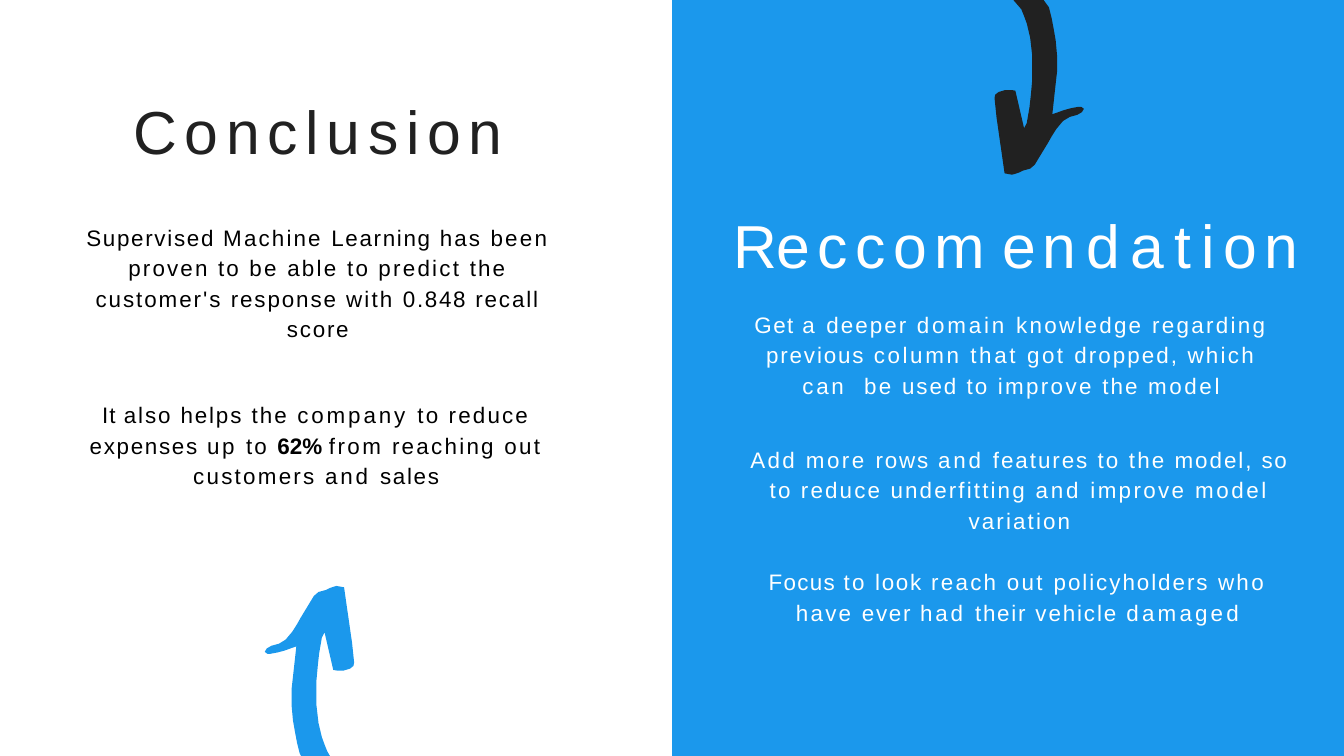
from lxml import etree
from pptx import Presentation
from pptx.dml.color import RGBColor
from pptx.enum.shapes import MSO_SHAPE
from pptx.enum.text import MSO_ANCHOR, MSO_AUTO_SIZE, PP_ALIGN
from pptx.oxml.ns import qn
from pptx.util import Inches, Pt

RECTANGLE = MSO_SHAPE.RECTANGLE
TOP = MSO_ANCHOR.TOP
NO_FIT = MSO_AUTO_SIZE.NONE
LEFT, CENTER = PP_ALIGN.LEFT, PP_ALIGN.CENTER

COLORS = {"blue": "1B98EC", "white": "FFFFFF", "ink": "212121", "black": "000000"}
FONT = "Arial"
HEADING = {"size": 65, "before": 1}
BODY = {"size": 24, "line_spacing": 1.13}

# Upward arrow without its tail edge, which sits on the slide border
ARROW = [
    (4.46, 11.21), (4.42, 11.05), (4.39, 10.89), (4.36, 10.72), (4.34, 10.5),
    (4.34, 10.25), (4.35, 10.16), (4.41, 9.62),
    # Left barb
    (4.35, 9.64), (4.24, 9.68), (4.13, 9.71), (4.02, 9.73), (3.98, 9.73),
    (3.94, 9.7), (3.97, 9.65), (4.04, 9.61), (4.15, 9.58), (4.25, 9.52), (4.35, 9.4),
    # Tip
    (4.42, 9.29), (4.47, 9.2), (4.61, 8.97), (4.67, 8.87), (4.74, 8.81),
    (4.85, 8.78), (4.91, 8.75), (4.97, 8.73), (5.01, 8.72), (5.12, 8.74),
    # Right barb
    (5.24, 9.57), (5.27, 9.86), (5.26, 9.91), (5.21, 9.95), (5.11, 9.98),
    (5.02, 9.98), (4.96, 9.97), (4.83, 9.41),
    # Inner side of the shaft
    (4.79, 9.49), (4.75, 9.72), (4.73, 9.9), (4.71, 10.12), (4.71, 10.5),
    (4.74, 10.76), (4.79, 10.97), (4.83, 11.08), (4.87, 11.18),
]
UP_TAIL = [(4.91, 11.25), (4.48, 11.25)]
DOWN_TAIL = [(4.99, 11.32), (4.54, 11.32)]

# Spans of text with their letter spacing in points
TITLE = [("Conclusion", 8.3)]
FINDING = [
    ("Supervised ", 1.8), ("Machine ", 2.3), ("Learning ", 1.8), ("has ", 2.2),
    ("been ", 2.4), ("proven to ", 2.3), ("be able ", 2.4), ("to ", 2.3),
    ("predict ", 2.4), ("the ", 2.2), ("customer's ", 2.1), ("response ", 2),
    ("with ", 2.3), ("0.848 ", 1.8), ("recall ", 2), ("score", 1.9),
]
SAVING = [
    ("It ", 1.1), ("also helps ", 2), ("the ", 2.2), ("company ", 3.1),
    ("to reduce ", 2.3), ("expenses ", 1.8), ("up ", 2.8), ("to ", 2.3),
    ("62% ", 0.1), ("from ", 2.6), ("reaching ", 2.4), ("out ", 2.5),
    ("customers ", 2.4), ("and ", 3), ("sales", 1.8),
]
ADVICE_TITLE = [
    ("R", -1.6), ("e", 6.8), ("cc", 8.4), ("o", 8.2), ("m", 18.2), ("e", 6.8),
    ("n", 11.2), ("da", 11.1), ("t", 10.8), ("i", 8.3), ("o", 8.2), ("n", 9.3),
]
KNOWLEDGE = [
    ("Get ", 1.5), ("a ", 2.9), ("deeper ", 2.2), ("domain ", 3),
    ("knowledge ", 2.4), ("regarding ", 2.5), ("previous ", 2),
    ("column that ", 2.8), ("got ", 2.6), ("dropped, ", 2.2), ("which ", 2.4),
    ("can  ", 2.8), ("be ", 2.4), ("used ", 2.1), ("to ", 2.3),
    ("improve ", 2.5), ("the ", 2.2), ("model", 2.8),
]
FEATURES = [
    ("Add ", 2.5), ("more ", 2.7), ("rows ", 1.9), ("and ", 3),
    ("features ", 2.1), ("to ", 2.3), ("the ", 2.2), ("model, ", 2.1),
    ("so ", 1.6), ("to reduce underfitting ", 2.3), ("and ", 3),
    ("improve ", 2.5), ("model ", 2.8), ("variation", 2.3),
]
FOCUS = [
    ("Focus ", 1.4), ("to ", 2.3), ("look ", 1.9), ("reach ", 2.4), ("out ", 2.5),
    ("policyholders ", 2.1), ("who ", 2.5), ("have ", 2.4), ("ever ", 1.8),
    ("had ", 3), ("their ", 1.9), ("vehicle ", 2), ("damaged", 3.4),
]


def half_turn(points):
    """Turn an upward arrow so that it hangs from the top edge."""
    return [(20.07 - x, 11.32 - y) for x, y in points]


def write_text(para, spans, *, size, color, bold_text=None, align=CENTER,
               before=0, line_spacing=1.0, margins=(0, 0)):
    """Format a paragraph and fill it with letter-spaced spans."""
    para.alignment = align
    para.space_before = Pt(before)
    para.line_spacing = line_spacing
    properties = para._p.get_or_add_pPr()
    properties.set("marL", str(Inches(margins[0])))
    properties.set("marR", str(Inches(margins[1])))
    properties.set("indent", "0")
    etree.SubElement(properties, qn("a:buNone"))
    for text, spacing in spans:
        span = para.add_run()
        span.text = text
        span.font.name = FONT
        span.font.size = Pt(size)
        span.font.bold = text == bold_text
        span.font.color.rgb = RGBColor.from_string(COLORS[color])
        span._r.get_or_add_rPr().set("spc", str(round(spacing * 100)))


class SlideBuilder:
    def __init__(self, page):
        self.page = page

    def paint(self, shape, color):
        shape.shadow.inherit = False
        shape.fill.solid()
        shape.fill.fore_color.rgb = RGBColor.from_string(COLORS[color])
        shape.line.fill.background()

    def panel(self, left, color):
        box = self.page.shapes.add_shape(
            RECTANGLE, Inches(left), 0, Inches(10), Inches(11.25))
        self.paint(box, color)
        # Panels lie behind the placeholders
        self.page.shapes._spTree.insert(2, box._element)

    def arrow(self, points, color):
        corners = [(Inches(x), Inches(y)) for x, y in points]
        builder = self.page.shapes.build_freeform(*corners[0], scale=1.0)
        builder.add_line_segments(corners[1:], close=True)
        self.paint(builder.convert_to_shape(), color)

    def text_box(self):
        return self.page.shapes.add_textbox(0, 0, Inches(1), Inches(1))

    def frame(self, box, left, top, width, height):
        """Place a text shape and return its frame without insets."""
        box.left, box.top = Inches(left), Inches(top)
        box.width, box.height = Inches(width), Inches(height)
        frame = box.text_frame
        frame.word_wrap = True
        frame.auto_size = NO_FIT
        frame.vertical_anchor = TOP
        frame.margin_left = frame.margin_right = frame.margin_bottom = 0
        frame.margin_top = Inches(0.01)
        return frame


def main():
    deck = Presentation()
    deck.slide_width, deck.slide_height = Inches(20), Inches(11.25)
    page = deck.slides.add_slide(deck.slide_layouts[1])
    slide = SlideBuilder(page)

    # Halves and arrows
    slide.panel(0, "white")
    slide.panel(10, "blue")
    slide.arrow(ARROW + UP_TAIL, "blue")
    slide.arrow(half_turn(ARROW + DOWN_TAIL), "ink")

    # Conclusion
    title = slide.frame(page.shapes.title, 1.97, 1.38, 5.66, 1.11)
    write_text(title.paragraphs[0], TITLE, color="ink", align=LEFT,
               margins=(0.01, 0), **HEADING)
    findings = slide.frame(slide.text_box(), 1.28, 3.27, 6.9, 4.02)
    write_text(findings.paragraphs[0], FINDING, color="black", before=1, **BODY)
    write_text(findings.add_paragraph(), SAVING, color="black", bold_text="62% ",
               before=60, margins=(0, 0.05), **BODY)

    # Recommendation
    advice = slide.frame(page.placeholders[1], 10.84, 3.09, 8.55, 6.25)
    write_text(advice.paragraphs[0], ADVICE_TITLE, color="white", **HEADING)
    for spans, before, margins in [
        (KNOWLEDGE, 28.2, (0.27, 0.41)),
        (FEATURES, 47, (0.31, 0.2)),
        (FOCUS, 33.6, (0.55, 0.5)),
    ]:
        write_text(advice.add_paragraph(), spans, color="white", before=before,
                   margins=margins, **BODY)

    deck.save("out.pptx")


if __name__ == "__main__":
    main()
